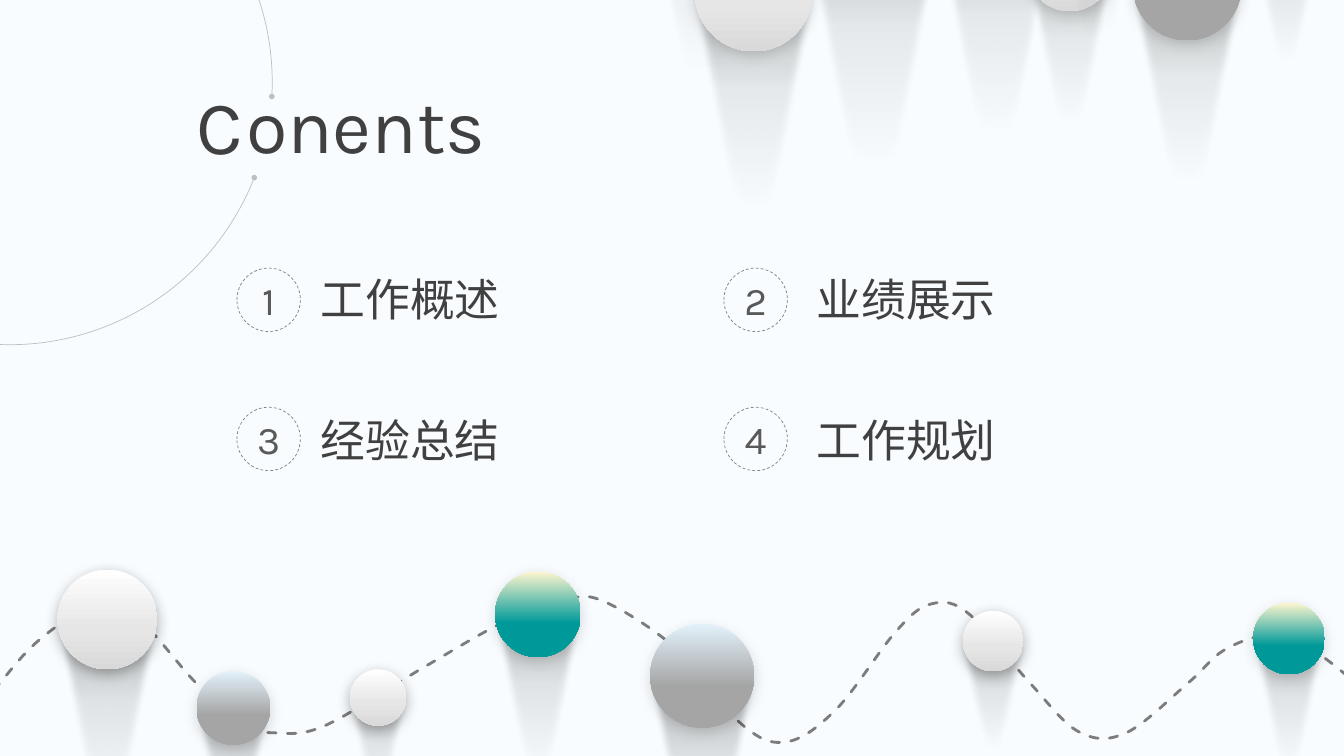
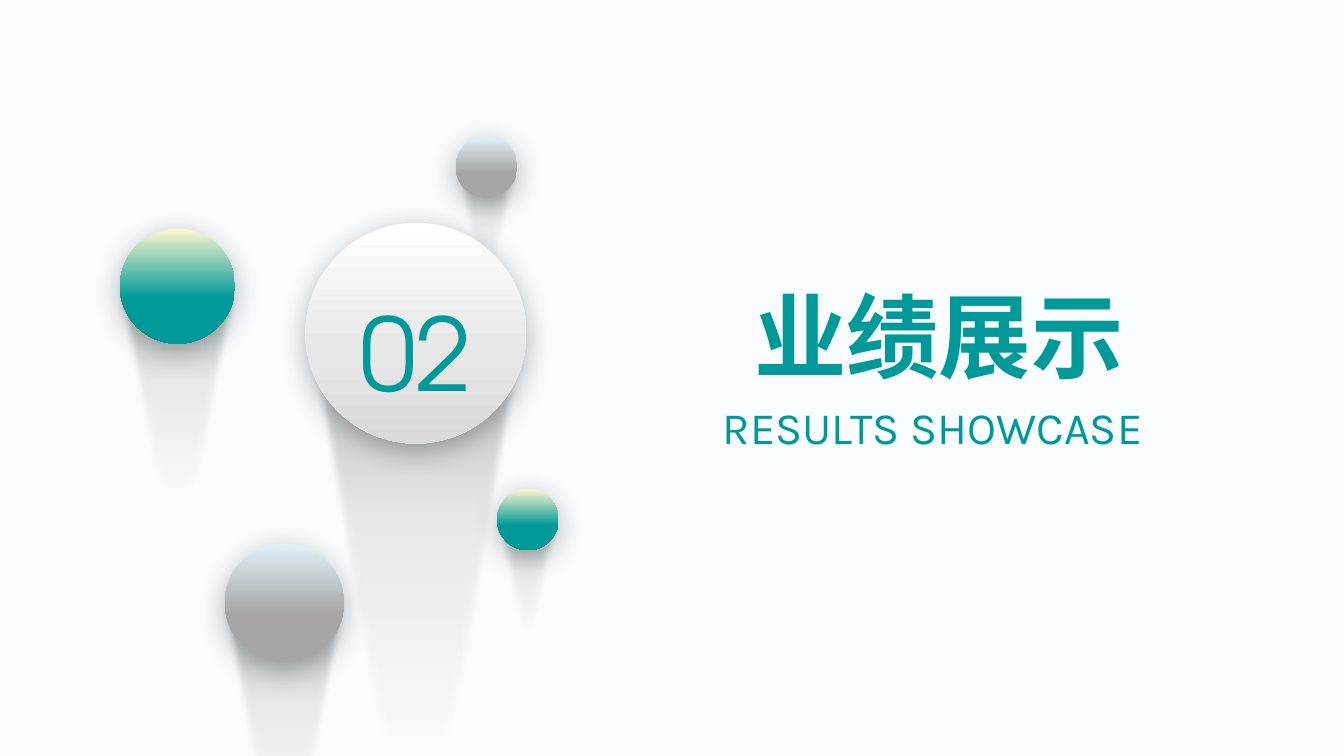
from dataclasses import dataclass

from lxml import etree
from pptx import Presentation
from pptx import util as u
from pptx.dml.color import RGBColor
from pptx.enum import dml, shapes, text
from pptx.oxml.ns import qn
from pptx.shapes.autoshape import Shape
from pptx.slide import Slide

Point = tuple[float, float]


@dataclass(frozen=True)
class Stop:
    """One gradient stop: position and opacity in percent."""
    position: int
    colour: str
    opacity: int = 100


@dataclass(frozen=True)
class Theme:
    """Colours, fonts, type sizes and gradients of the deck."""
    paper: str = "F8FCFE"
    ink: str = "404040"
    digit: str = "595959"
    ring: str = "808080"
    arc: str = "BFBFBF"
    wave: str = "7C7C7C"
    accent: str = "009999"
    font: str = "Karla"
    number_font: str = "TeX Gyre Adventor"
    title_size: int = 54
    section_size: int = 66
    number_size: int = 72
    label_size: int = 32
    digit_size: int = 28
    white: tuple = (Stop(0, "FFFFFF"), Stop(60, "E7E6E6"), Stop(100, "D9D9D9"))
    grey: tuple = (Stop(1, "E1F0F9"), Stop(60, "A5A5A5"), Stop(100, "A5A5A5"))
    teal: tuple = (Stop(0, "FFF6CF"), Stop(60, "009999"), Stop(100, "009999"))
    soft_tail: tuple = (Stop(0, "262626", 30), Stop(30, "000000", 8),
                        Stop(50, "000000", 4), Stop(70, "000000", 0))
    firm_tail: tuple = (Stop(0, "000000", 30), Stop(30, "000000", 10),
                        Stop(50, "000000", 5), Stop(70, "000000", 0))
    soft_edge: float = 5


THEME = Theme()


@dataclass(frozen=True)
class Shade:
    """Shadow straight below a ball: opacity in percent, lengths in points."""
    opacity: int
    blur: int
    distance: int


@dataclass(frozen=True)
class Ball:
    """A ball with a fading tail; tail_width is relative to the diameter."""
    left: float
    top: float
    size: float
    colours: tuple
    shade: Shade
    tail_width: float = 1.1


@dataclass(frozen=True)
class Box:
    """A place on the slide, in inches."""
    left: float
    top: float
    width: float
    height: float


@dataclass(frozen=True)
class Words:
    """Text with its format."""
    content: str
    size: int
    colour: str
    font: str = THEME.font
    bold: bool = False


FAINT, CLEAR, DEEP = Shade(15, 10, 3), Shade(30, 10, 3), Shade(30, 20, 5)
TAIL_HEIGHT = 2.72

HANGING = [
    Box(8.84, -1.44, 0.64, 1.6), Box(9.77, -1.63, 0.84, 2.1),
    Box(9.29, -2.83, 1.37, 3.4), Box(8.92, -2.1, 1.03, 2.56),
    Box(12.37, -0.59, 0.78, 1.83),
    Ball(10.18, -0.75, 0.86, THEME.white, FAINT),
    Box(9.24, -0.81, 1.28, 3.2), Box(6.25, -1.75, 1.49, 3.69),
    Box(7.82, -1.62, 0.9, 2.23), Box(7.62, -2.23, 0.96, 2.36),
    Box(7.92, -0.85, 1.49, 3.69), Box(7.32, -1.2, 1, 2.5),
    Ball(6.89, -0.66, 1.17, THEME.white, FAINT),
    Box(10.3, -1.61, 1.18, 2.93), Box(11.02, -1.04, 0.69, 1.56),
    Ball(11.24, -0.67, 1.07, THEME.grey, FAINT),
]
WAVE_BALLS = [
    Ball(0.57, 5.65, 0.99, THEME.white, CLEAR),
    Ball(1.95, 6.66, 0.73, THEME.grey, FAINT),
    Ball(3.47, 6.64, 0.56, THEME.white, CLEAR, 1.18),
    Ball(4.91, 5.67, 0.85, THEME.teal, FAINT),
    Ball(6.45, 6.19, 1.03, THEME.grey, FAINT),
    Ball(9.55, 6.06, 0.6, THEME.white, CLEAR, 1.2),
    Ball(12.43, 5.98, 0.71, THEME.teal, FAINT),
]
WAVE = [
    (-0.06, 6.85), (0.29, 6.44), (0.64, 6.16), (0.92, 6.02), (1.25, 6.06),
    (1.49, 6.25), (1.91, 6.74), (2.24, 7.05), (2.46, 7.2), (2.71, 7.27),
    (3.22, 7.2), (4.22, 6.61), (5, 6.17), (5.54, 5.98), (5.95, 5.95),
    (6.7, 6.43), (7.35, 7.18), (7.8, 7.36), (8.3, 7.03), (8.89, 6.26),
    (9.24, 5.99), (9.61, 6.09), (10.21, 6.77), (10.7, 7.26), (11.17, 7.27),
    (11.79, 6.77), (12.14, 6.45), (12.58, 6.3), (12.95, 6.4), (13.42, 6.75),
]
TAIL_CURVE = [(1, 0), (0.84, 0.33), (0.55, 1), (0.5, 1), (0.45, 1), (0.16, 0.33), (0, 0)]
NUMBER_BALL = Ball(3.03, 2.21, 2.19, THEME.white, DEEP, 1.01)
SECTION_BALLS = [
    Ball(4.52, 1.35, 0.61, THEME.grey, DEEP), NUMBER_BALL,
    Ball(2.23, 5.39, 1.18, THEME.grey, DEEP),
    Ball(4.93, 4.85, 0.61, THEME.teal, DEEP),
    Ball(1.19, 2.27, 1.14, THEME.teal, DEEP),
]
TOPICS = ["工作概述", "业绩展示", "经验总结", "工作规划"]


def add_node(parent: etree._Element, tag: str, **values: object) -> etree._Element:
    """Append a DrawingML element with the given attributes."""
    return etree.SubElement(parent, qn(tag), {k: str(v) for k, v in values.items()})


def add_colour(parent: etree._Element, colour: str, opacity: int) -> None:
    """Append a colour with an opacity in percent."""
    node = add_node(parent, "a:srgbClr", val=colour)
    if opacity < 100:
        add_node(node, "a:alpha", val=opacity * 1000)


def fill_gradient(shape: Shape, stops: tuple) -> None:
    """Give a shape a top-to-bottom gradient and no outline."""
    shape.line.fill.background()
    shape.fill.background()
    properties = shape.element.spPr
    gradient = etree.Element(qn("a:gradFill"), rotWithShape="1")
    stop_list = add_node(gradient, "a:gsLst")
    for stop in stops:
        node = add_node(stop_list, "a:gs", pos=stop.position * 1000)
        add_colour(node, stop.colour, stop.opacity)
    add_node(gradient, "a:lin", ang=90 * 60000, scaled=0)
    properties.replace(properties.find(qn("a:noFill")), gradient)


def effects_of(shape: Shape) -> etree._Element:
    """Clear the inherited shadow and return the effect list."""
    shape.shadow.inherit = False
    return shape.element.spPr.find(qn("a:effectLst"))


def draw_outline(shape: Shape, colour: str, width: float,
                 dashed: bool = True) -> etree._Element:
    """Leave a shape unfilled with a plain outline, and return its line element."""
    effects_of(shape)
    shape.fill.background()
    shape.line.color.rgb = RGBColor.from_string(colour)
    shape.line.width = u.Pt(width)
    if dashed:
        shape.line.dash_style = dml.MSO_LINE.DASH
    return shape.element.spPr.find(qn("a:ln"))


def smooth(anchors: list[Point]) -> list[Point]:
    """Return the cubic control points of a smooth curve through the anchors."""
    padded = [anchors[0], *anchors, anchors[-1]]
    curve = [anchors[0]]
    for before, start, end, after in zip(padded, padded[1:], padded[2:], padded[3:]):
        leave = tuple(s + (e - b) / 6 for b, s, e in zip(before, start, end))
        arrive = tuple(e - (a - s) / 6 for s, e, a in zip(start, end, after))
        curve += [leave, arrive, end]
    return curve


def add_curve(page: Slide, points: list[Point], close: bool) -> Shape:
    """Build a curved freeform: a start, then three control points a segment."""
    lengths = [(u.Inches(x), u.Inches(y)) for x, y in points]
    builder = page.shapes.build_freeform(*lengths[0])
    builder.add_line_segments(lengths[1:], close=close)
    shape = builder.convert_to_shape()
    lines = list(shape.element.spPr.iter(qn("a:lnTo")))
    for first in range(0, len(points) - 1, 3):
        segment = etree.Element(qn("a:cubicBezTo"))
        lines[first].addprevious(segment)
        for line in lines[first:first + 3]:
            segment.append(line[0])
            line.getparent().remove(line)
    return shape


def add_tail(page: Slide, tail: Box, stops: tuple) -> None:
    """Draw a tapering tail that fades downwards."""
    points = [(tail.left + x * tail.width, tail.top + y * tail.height)
              for x, y in TAIL_CURVE]
    shape = add_curve(page, points, close=True)
    fill_gradient(shape, stops)
    add_node(effects_of(shape), "a:softEdge", rad=u.Pt(THEME.soft_edge))


def add_ball(page: Slide, ball: Ball, tail_stops: tuple) -> Shape:
    """Draw a ball over its tail."""
    width = ball.size * ball.tail_width
    add_tail(page, Box(ball.left + (ball.size - width) / 2, ball.top + ball.size / 2,
                       width, ball.size * TAIL_HEIGHT), tail_stops)
    shape = add_circle(page, ball.left, ball.top, ball.size)
    fill_gradient(shape, ball.colours)
    shadow = add_node(effects_of(shape), "a:outerShdw", blurRad=u.Pt(ball.shade.blur),
                      dist=u.Pt(ball.shade.distance), dir=90 * 60000,
                      algn="t", rotWithShape=0)
    add_colour(shadow, "000000", ball.shade.opacity)
    return shape


def add_circle(page: Slide, left: float, top: float, size: float) -> Shape:
    """Add a bare circle."""
    return page.shapes.add_shape(shapes.MSO_SHAPE.OVAL, u.Inches(left), u.Inches(top),
                                 u.Inches(size), u.Inches(size))


def write(shape: Shape, words: Words, align: text.PP_ALIGN = text.PP_ALIGN.LEFT) -> None:
    """Set the text of a shape and format it."""
    para = shape.text_frame.paragraphs[0]
    para.text = words.content
    para.alignment = align
    for span in para.runs:
        span.font.name = words.font
        span.font.size = u.Pt(words.size)
        span.font.bold = words.bold
        span.font.color.rgb = RGBColor.from_string(words.colour)


def add_label(page: Slide, place: Box, words: Words, wrap: bool = False) -> None:
    """Add a one-line text box."""
    box = page.shapes.add_textbox(u.Inches(place.left), u.Inches(place.top),
                                  u.Inches(place.width), u.Inches(place.height))
    box.text_frame.word_wrap = wrap
    box.text_frame.auto_size = text.MSO_AUTO_SIZE.SHAPE_TO_FIT_TEXT
    write(box, words)


def set_title(page: Slide, place: Box, words: Words, anchor: text.MSO_ANCHOR) -> None:
    """Place and format the title placeholder."""
    title = page.shapes.title
    title.left, title.top = u.Inches(place.left), u.Inches(place.top)
    title.width, title.height = u.Inches(place.width), u.Inches(place.height)
    write(title, words)
    title.text_frame.vertical_anchor = anchor
    title.text_frame.word_wrap = True
    title.text_frame.auto_size = text.MSO_AUTO_SIZE.NONE


def add_title_arc(page: Slide) -> None:
    """Draw the thin arc that opens around the title, with dots at its ends."""
    arc = page.shapes.add_shape(shapes.MSO_SHAPE.ARC, u.Inches(-2.51), u.Inches(-1.79),
                                u.Inches(5.21), u.Inches(5.21))
    for index, degrees in enumerate((21.32, 3.14)):
        arc.adjustments[index] = degrees * 0.6
    line = draw_outline(arc, THEME.arc, 0.5, dashed=False)
    for end in ("a:headEnd", "a:tailEnd"):
        add_node(line, end, type="oval", w="sm", len="sm")


def build_contents(page: Slide) -> None:
    """Build the contents slide."""
    for item in HANGING:
        draw = add_ball if isinstance(item, Ball) else add_tail
        draw(page, item, THEME.soft_tail)
    add_title_arc(page)
    wave = add_curve(page, smooth(WAVE), close=False)
    draw_outline(wave, THEME.wave, 2).set("cap", "rnd")
    for ball in WAVE_BALLS:
        add_ball(page, ball, THEME.firm_tail)
    add_label(page, Box(1.85, 0.73, 0.69, 1.01),
              Words("C", THEME.title_size, THEME.ink))
    set_title(page, Box(2.34, 0.72, 2.75, 1.01),
              Words("onents", THEME.title_size, THEME.ink), text.MSO_ANCHOR.TOP)
    columns = ((2.35, 3.08), (7.18, 8))
    for index, topic in enumerate(TOPICS):
        row, column = divmod(index, len(columns))
        ring_left, label_left = columns[column]
        ring = add_circle(page, ring_left, 2.66 + 1.38 * row, 0.63)
        draw_outline(ring, THEME.ring, 0.5)
        write(ring, Words(str(index + 1), THEME.digit_size, THEME.digit),
              text.PP_ALIGN.CENTER)
        add_label(page, Box(label_left, 2.65 + 1.4 * row, 2, 0.64),
                  Words(topic, THEME.label_size, THEME.ink))


def build_section(page: Slide) -> None:
    """Build the section opener."""
    for ball in SECTION_BALLS:
        shape = add_ball(page, ball, THEME.soft_tail)
        if ball is NUMBER_BALL:
            write(shape, Words("02", THEME.number_size, THEME.accent, THEME.number_font),
                  text.PP_ALIGN.CENTER)
            shape.text_frame.paragraphs[0].line_spacing = 1.3
    set_title(page, Box(7.38, 2.71, 4, 1.21),
              Words(TOPICS[1], THEME.section_size, THEME.accent, bold=True),
              text.MSO_ANCHOR.BOTTOM)
    add_label(page, Box(7.07, 3.92, 4.62, 0.64),
              Words("RESULTS SHOWCASE", THEME.label_size, THEME.accent), wrap=True)


deck = Presentation()
deck.slide_width, deck.slide_height = u.Inches(13.33), u.Inches(7.5)
backdrop = deck.slide_master.background.fill
backdrop.solid()
backdrop.fore_color.rgb = RGBColor.from_string(THEME.paper)
for build in (build_contents, build_section):
    build(deck.slides.add_slide(deck.slide_layouts[5]))
deck.save("out.pptx")
